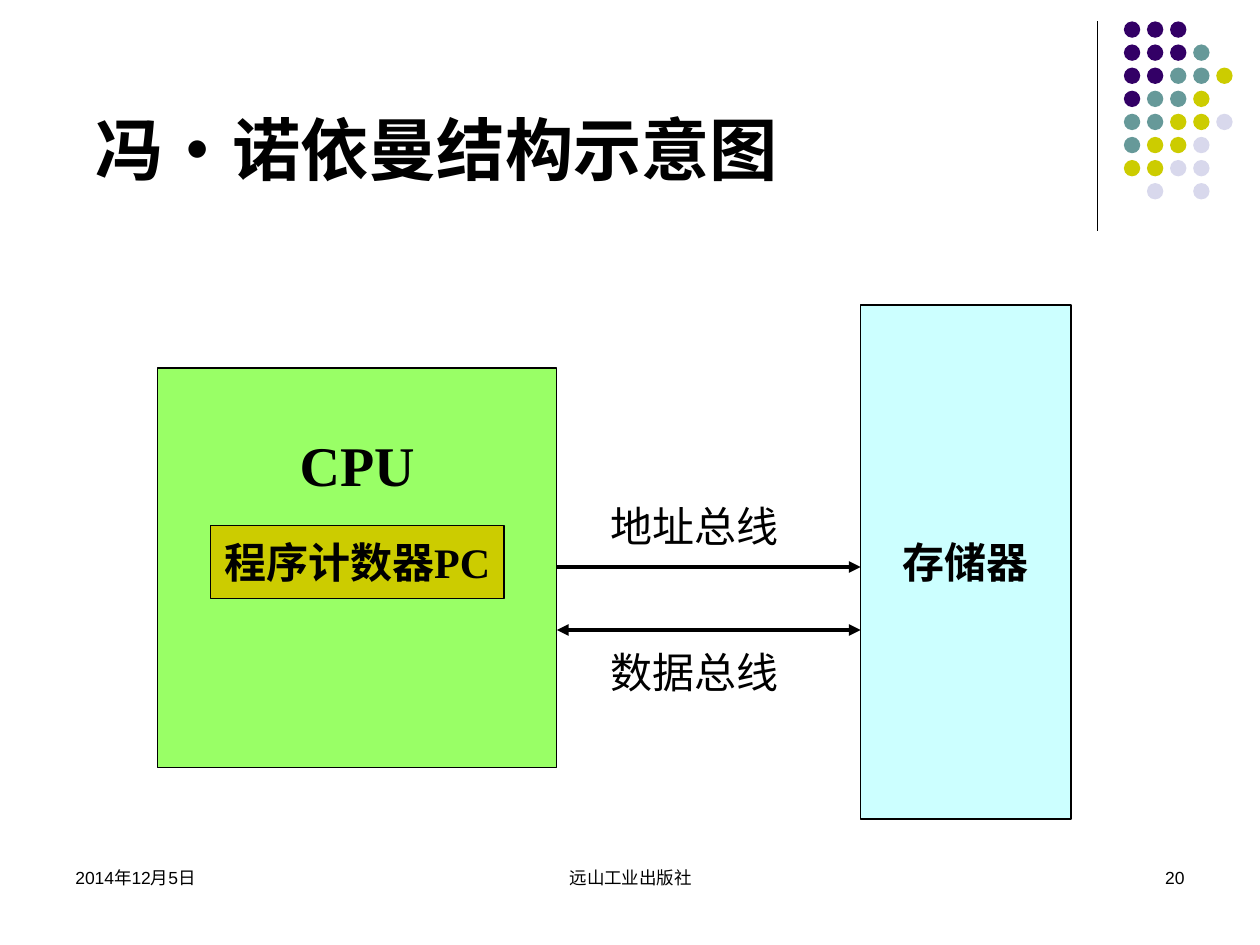
from dataclasses import dataclass

from lxml import etree
from pptx import Presentation
from pptx.dml.color import RGBColor
from pptx.enum.shapes import MSO_CONNECTOR, MSO_SHAPE
from pptx.enum.text import MSO_ANCHOR, MSO_AUTO_SIZE, PP_ALIGN
from pptx.oxml.ns import qn
from pptx.slide import Slide
from pptx.text.text import TextFrame
from pptx.util import Inches, Pt

ELLIPSE, RECTANGLE = MSO_SHAPE.OVAL, MSO_SHAPE.RECTANGLE
STRAIGHT = MSO_CONNECTOR.STRAIGHT
TOP, MIDDLE, BOTTOM = MSO_ANCHOR.TOP, MSO_ANCHOR.MIDDLE, MSO_ANCHOR.BOTTOM
LEFT, CENTER, RIGHT = PP_ALIGN.LEFT, PP_ALIGN.CENTER, PP_ALIGN.RIGHT
NO_FIT = MSO_AUTO_SIZE.NONE

BLACK = RGBColor(0x00, 0x00, 0x00)
PURPLE = RGBColor(0x33, 0x00, 0x66)
TEAL = RGBColor(0x66, 0x99, 0x99)
OLIVE = RGBColor(0xCC, 0xCC, 0x00)
LAVENDER = RGBColor(0xD8, 0xD8, 0xEC)
GREEN = RGBColor(0x99, 0xFF, 0x66)
CYAN = RGBColor(0xCC, 0xFF, 0xFF)

SERIF, SANS, FOOTER_FONT = "Times New Roman", "Roboto", "Arial"
THIN, THICK = 0.74, 2.24

DOT_COLORS = {"P": PURPLE, "T": TEAL, "O": OLIVE, "L": LAVENDER}
DOT_ROWS = ("PPP", "PPPT", "PPTTO", "PTTO", "TTOOL", "TOOL", "OOLL", ".L.L")
DOT_SIZE = Inches(0.13)
DOT_PITCH = Inches(0.55) // 3


@dataclass(frozen=True)
class Block:
    """A filled unit of the computer, with its label."""
    label: str
    left: float
    top: float
    width: float
    height: float
    fill: RGBColor
    font: str = SERIF
    size: int = 24
    anchor: MSO_ANCHOR = MIDDLE
    margin_top: float = 0.05


@dataclass(frozen=True)
class Caption:
    """A plain text box."""
    text: str
    left: float
    top: float
    width: float
    size: int
    font: str
    align: PP_ALIGN = LEFT


@dataclass(frozen=True)
class Line:
    """A straight line, with optional arrowheads."""
    start: tuple[float, float]
    end: tuple[float, float]
    weight: float
    heads: tuple[str, ...] = ()


BLOCKS = (
    Block("CPU", 1.25, 2.92, 3.17, 3.17, GREEN, size=32, anchor=TOP, margin_top=0.5),
    Block("程序计数器PC", 1.67, 4.17, 2.33, 0.58, OLIVE),
    Block("存储器", 6.83, 2.42, 1.67, 4.08, CYAN, font=SANS),
)
LINES = (
    Line((8.71, 0.17), (8.71, 1.83), THIN),
    Line((4.42, 4.5), (6.83, 4.5), THICK, ("tailEnd",)),
    Line((6.83, 5), (4.42, 5), THICK, ("headEnd", "tailEnd")),
)
CAPTIONS = (
    Caption("地址总线", 4.75, 3.92, 1.75, 24, SANS),
    Caption("数据总线", 4.75, 5.08, 1.63, 24, SANS),
    Caption("2014年12月5日", 0.5, 6.83, 2.33, 10, FOOTER_FONT),
    Caption("远山工业出版社", 3.42, 6.83, 3.17, 10, FOOTER_FONT, CENTER),
    Caption("20", 7.17, 6.83, 2.33, 10, FOOTER_FONT, RIGHT),
)


def write(frame: TextFrame, text: str, font: str, size: int,
          bold: bool = False, align: PP_ALIGN = LEFT) -> None:
    """Put one formatted run in the first paragraph of a frame."""
    para = frame.paragraphs[0]
    para.alignment = align
    span = para.add_run()
    span.text = text
    span.font.name = font
    span.font.size = Pt(size)
    span.font.bold = bold
    span.font.color.rgb = BLACK


def set_title(page: Slide, text: str) -> None:
    """Place and fill the title placeholder."""
    title = page.shapes.title
    title.left, title.top = Inches(0.66), Inches(0.13)
    title.width, title.height = Inches(7.57), Inches(1.42)
    frame = title.text_frame
    frame.auto_size = NO_FIT
    frame.vertical_anchor = BOTTOM
    write(frame, text, SERIF, 39, bold=True)


def add_dots(page: Slide) -> None:
    """Draw the grid of coloured dots in the corner."""
    group = page.shapes.add_group_shape()
    for row, letters in enumerate(DOT_ROWS):
        for column, letter in enumerate(letters):
            if letter not in DOT_COLORS:
                continue
            dot = group.shapes.add_shape(
                ELLIPSE, Inches(8.92) + column * DOT_PITCH,
                Inches(0.17) + row * DOT_PITCH, DOT_SIZE, DOT_SIZE)
            dot.shadow.inherit = False
            dot.fill.solid()
            dot.fill.fore_color.rgb = DOT_COLORS[letter]
            dot.line.fill.background()


def add_block(page: Slide, block: Block) -> None:
    """Draw a filled rectangle with a bold centred label."""
    box = page.shapes.add_shape(
        RECTANGLE, Inches(block.left), Inches(block.top),
        Inches(block.width), Inches(block.height))
    box.shadow.inherit = False
    box.fill.solid()
    box.fill.fore_color.rgb = block.fill
    box.line.color.rgb = BLACK
    box.line.width = Pt(THIN)
    frame = box.text_frame
    frame.word_wrap = False
    frame.vertical_anchor = block.anchor
    frame.margin_top = Inches(block.margin_top)
    write(frame, block.label, block.font, block.size, bold=True, align=CENTER)


def add_line(page: Slide, line: Line) -> None:
    """Draw a black line with its arrowheads."""
    connector = page.shapes.add_connector(
        STRAIGHT, *(Inches(value) for value in line.start + line.end))
    connector.line.color.rgb = BLACK
    connector.line.width = Pt(line.weight)
    outline = connector.line._get_or_add_ln()
    for head in line.heads:
        etree.SubElement(outline, qn(f"a:{head}"), type="triangle")
    etree.SubElement(connector._element.spPr, qn("a:effectLst"))


def add_caption(page: Slide, caption: Caption) -> None:
    """Add a wrapped text box."""
    box = page.shapes.add_textbox(
        Inches(caption.left), Inches(caption.top),
        Inches(caption.width), Inches(0.5))
    box.text_frame.word_wrap = True
    write(box.text_frame, caption.text, caption.font, caption.size,
          align=caption.align)


def main() -> None:
    """Build and save the slide."""
    deck = Presentation()
    deck.slide_width, deck.slide_height = Inches(10), Inches(7.5)
    page = deck.slides.add_slide(deck.slide_layouts[5])
    set_title(page, "冯•诺依曼结构示意图")
    add_dots(page)
    for block in BLOCKS:
        add_block(page, block)
    for line in LINES:
        add_line(page, line)
    for caption in CAPTIONS:
        add_caption(page, caption)
    deck.save("out.pptx")


main()
